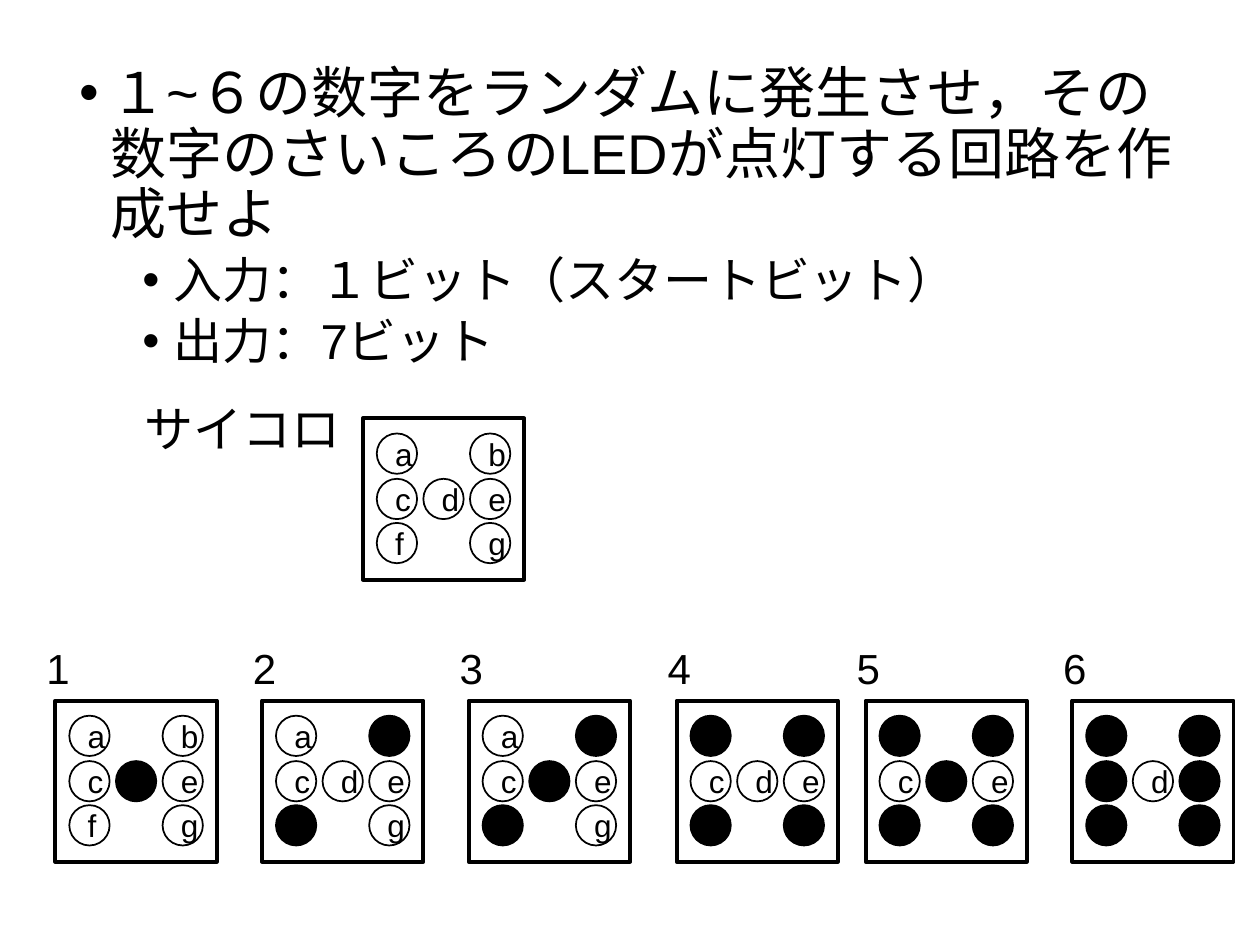
"""Build the dice LED exercise slide."""
from lxml.etree import SubElement
from pptx import Presentation
from pptx.dml.color import RGBColor
from pptx.enum.shapes import MSO_SHAPE as Kind
from pptx.enum.text import MSO_ANCHOR as Anchor, MSO_AUTO_SIZE as Fit, PP_ALIGN as Align
from pptx.oxml.ns import qn
from pptx.util import Inches, Pt

COLORS = {"ink": "000000"}
INK = RGBColor.from_string(COLORS["ink"])


def write(para, text, size=18, align=None, before=None, level=0, indent=None):
    run = para.add_run()
    run.text = text
    run.font.size = Pt(size)
    run.font.name = "Arial"
    run.font.color.rgb = INK
    para.alignment = align
    para.level = level
    if indent is not None:
        para.line_spacing = 0.9
        para.space_before = Pt(before)
        props = para._p.get_or_add_pPr()
        props.set("marL", str(Inches(indent)))
        props.set("indent", str(Inches(-0.25)))
        SubElement(props, qn("a:buFont"), typeface="Arial")
        SubElement(props, qn("a:buChar"), char="•")


def draw(group, kind, left, top, size, width, lit=False):
    shape = group.shapes.add_shape(
        kind, Inches(left), Inches(top), Inches(size), Inches(size))
    shape.shadow.inherit = False
    shape.line.color.rgb = INK
    shape.line.width = Pt(width)
    if lit:
        shape.fill.solid()
        shape.fill.fore_color.rgb = INK
    else:
        shape.fill.background()
    return shape


deck = Presentation()
deck.slide_width, deck.slide_height = Inches(10), Inches(7.5)
slide = deck.slides.add_slide(deck.slide_layouts[1])
title = slide.shapes.title
title._element.getparent().remove(title._element)

body = slide.placeholders[1]
body.left, body.top = Inches(0.53), Inches(0.47)
body.width, body.height = Inches(8.95), Inches(2.08)
frame = body.text_frame
frame.auto_size = Fit.NONE
frame.vertical_anchor = Anchor.TOP
items = [
    ("１~６の数字をランダムに発生させ，その数字のさいころのLEDが点灯する回路を作成せよ", 32, 10, 0, 0.25),
    ("入力：１ビット（スタートビット）", 28, 5, 1, 0.75),
    ("出力：7ビット", 28, 5, 1, 0.75),
]
for i, (text, size, before, level, indent) in enumerate(items):
    para = frame.add_paragraph() if i else frame.paragraphs[0]
    write(para, text, size=size, before=before, level=level, indent=indent)

COLS, ROWS = (0.11, 0.48, 0.85), (0.12, 0.48, 0.83)
LEDS = {"a": (0, 0), "c": (0, 1), "f": (0, 2), "b": (2, 0),
        "e": (2, 1), "g": (2, 2), "d": (1, 1)}
TOP = 5.56
dice = [
    ("サイコロ", 28, (1.05, 3.11, 1.83, 0.57), 2.88, 3.32, ""),
]
faces = zip((0.44, 2.08, 3.72, 5.37, 6.87, 8.51),
            ("d", "bf", "bdf", "abfg", "abdfg", "abcefg"))
for num, (left, lit) in enumerate(faces, 1):
    dice.append((str(num), 24, (left - 0.17, 5.05, 1.33, 0.5), left, TOP, lit))

for label, size, place, left, top, lit in dice:
    die = slide.shapes.add_group_shape()
    draw(die, Kind.RECTANGLE, left, top, 1.28, 2.25)
    for name, (col, row) in LEDS.items():
        led = draw(die, Kind.OVAL, left + COLS[col], top + ROWS[row],
                   0.32, 1, name in lit)
        if name not in lit:
            led.text_frame.vertical_anchor = Anchor.MIDDLE
            write(led.text_frame.paragraphs[0], name, align=Align.CENTER)
    box = slide.shapes.add_textbox(*map(Inches, place))
    box.text_frame.word_wrap = True
    box.text_frame.auto_size = Fit.SHAPE_TO_FIT_TEXT
    write(box.text_frame.paragraphs[0], label, size=size)

deck.save("out.pptx")
